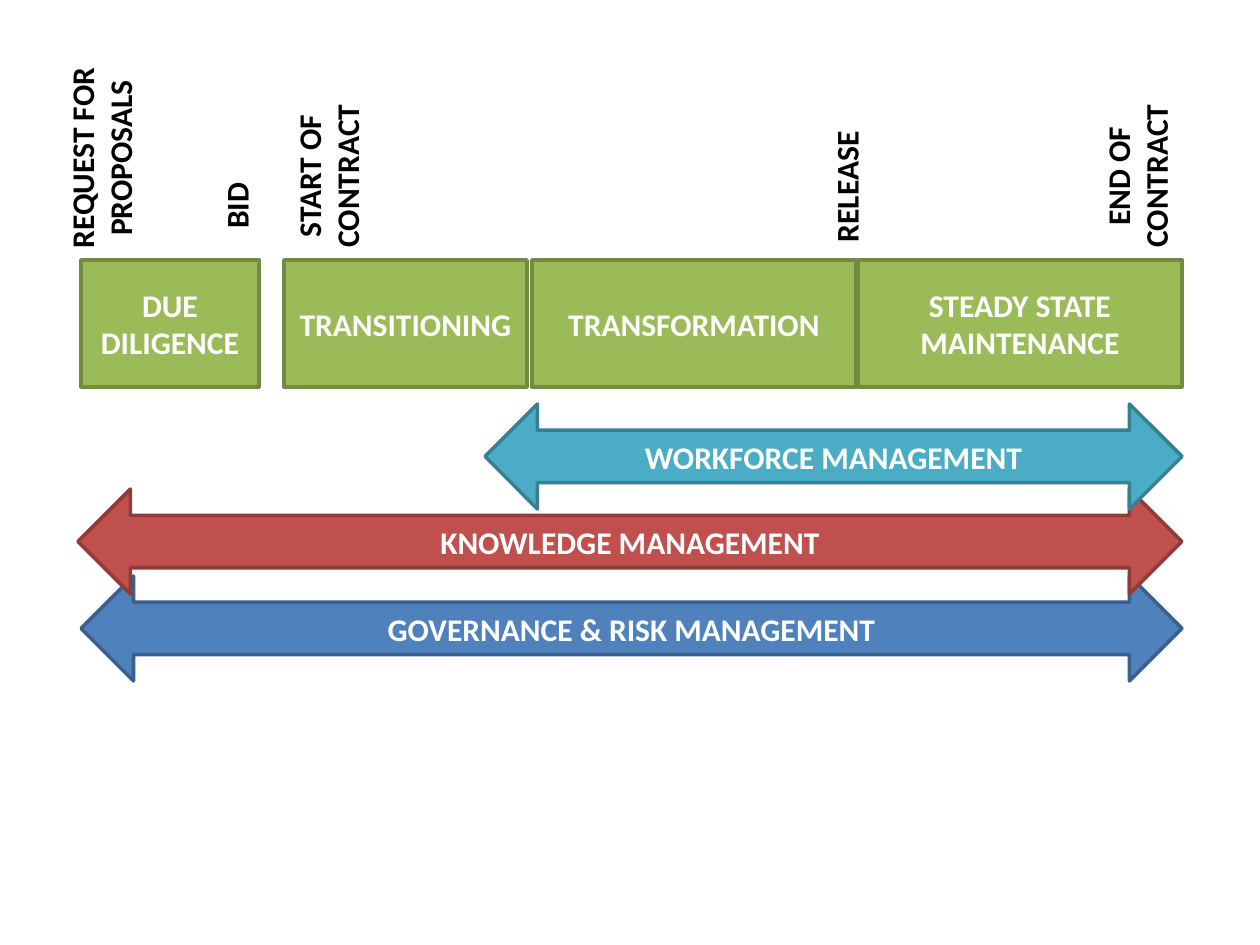
from pptx import Presentation
from pptx.dml.color import RGBColor
from pptx.enum.shapes import MSO_SHAPE as Shape
from pptx.enum.text import MSO_ANCHOR as Anchor, MSO_AUTO_SIZE as AutoSize, PP_ALIGN as Align
from pptx.util import Emu, Pt

PIXEL = 914400 / 126
WHITE, BLACK = "FFFFFF", "000000"

# Offset from the region's left edge, width, text
PHASES = [
    (0, 178, "DUE DILIGENCE"),
    (203, 243, "TRANSITIONING"),
    (451, 324, "TRANSFORMATION"),
    (777, 324, "STEADY STATE\nMAINTENANCE"),
]
# Centre across and down, length, thickness, text
MILESTONES = [
    (20, 105, 209, 89, "REQUEST FOR\nPROPOSALS"),
    (155, 152, 72, 50, "BID"),
    (247, 123, 170, 89, "START OF\nCONTRACT"),
    (765, 133, 137, 50, "RELEASE"),
    (1056, 123, 170, 89, "END OF\nCONTRACT"),
]
# Offset from left and top, fill, line, text; back to front
STREAMS = [
    (3, 172, "4F81BD", "3A5F8C", "GOVERNANCE & RISK MANAGEMENT"),
    (0, 85, "C0504D", "8E3B39", "KNOWLEDGE MANAGEMENT"),
    (407, 0, "4BACC6", "377F92", "WORKFORCE MANAGEMENT"),
]


def px(length):
    """Turn pixels into EMU."""
    return Emu(round(length * PIXEL))


def color(value):
    """Turn a hex string into a colour."""
    return RGBColor.from_string(value)


def write(shape, text, ink=WHITE, size=18, align=Align.CENTER, anchor=Anchor.MIDDLE, wrap=True):
    """Write bold text into a shape, one paragraph for each line."""
    frame = shape.text_frame
    frame.word_wrap = wrap
    frame.vertical_anchor = anchor
    for index, line in enumerate(text.split("\n")):
        para = frame.add_paragraph() if index else frame.paragraphs[0]
        para.alignment = align
        span = para.add_run()
        span.text = line
        span.font.name = "Calibri"
        span.font.size = Pt(size)
        span.font.bold = True
        span.font.color.rgb = color(ink)


def add_block(page, kind, box, text, fill, line):
    """Add a filled, outlined shape with centred text."""
    shape = page.shapes.add_shape(kind, *map(px, box))
    shape.shadow.inherit = False
    shape.fill.solid()
    shape.fill.fore_color.rgb = color(fill)
    shape.line.color.rgb = color(line)
    shape.line.width = Pt(2)
    write(shape, text)


def add_phases(page, box):
    """Place the row of project phases."""
    left, top, _, height = box
    for offset, width, text in PHASES:
        add_block(page, Shape.RECTANGLE, (left + offset, top, width, height),
                  text, "9BBB59", "738A42")


def add_milestones(page, box):
    """Place the upright milestone labels above the phases."""
    left, top, _, _ = box
    for across, down, length, thickness, text in MILESTONES:
        place = (left + across - length / 2, top + down - thickness / 2, length, thickness)
        label = page.shapes.add_textbox(*map(px, place))
        label.rotation = 270
        write(label, text, ink=BLACK, anchor=Anchor.TOP, wrap=False,
              align=Align.CENTER if "\n" in text else Align.LEFT)
        label.text_frame.auto_size = AutoSize.SHAPE_TO_FIT_TEXT


def add_streams(page, box):
    """Place the management arrows, all ending at the right edge."""
    left, top, width, _ = box
    for across, down, fill, line, text in STREAMS:
        add_block(page, Shape.LEFT_RIGHT_ARROW,
                  (left + across, top + down, width - across, 105), text, fill, line)


deck = Presentation()
deck.slide_width, deck.slide_height = px(1260), px(945)
page = deck.slides.add_slide(deck.slide_layouts[6])
add_phases(page, (81, 260, 1101, 127))
add_milestones(page, (81, 53, 1101, 210))
add_streams(page, (78, 404, 1104, 277))
deck.save("out.pptx")
